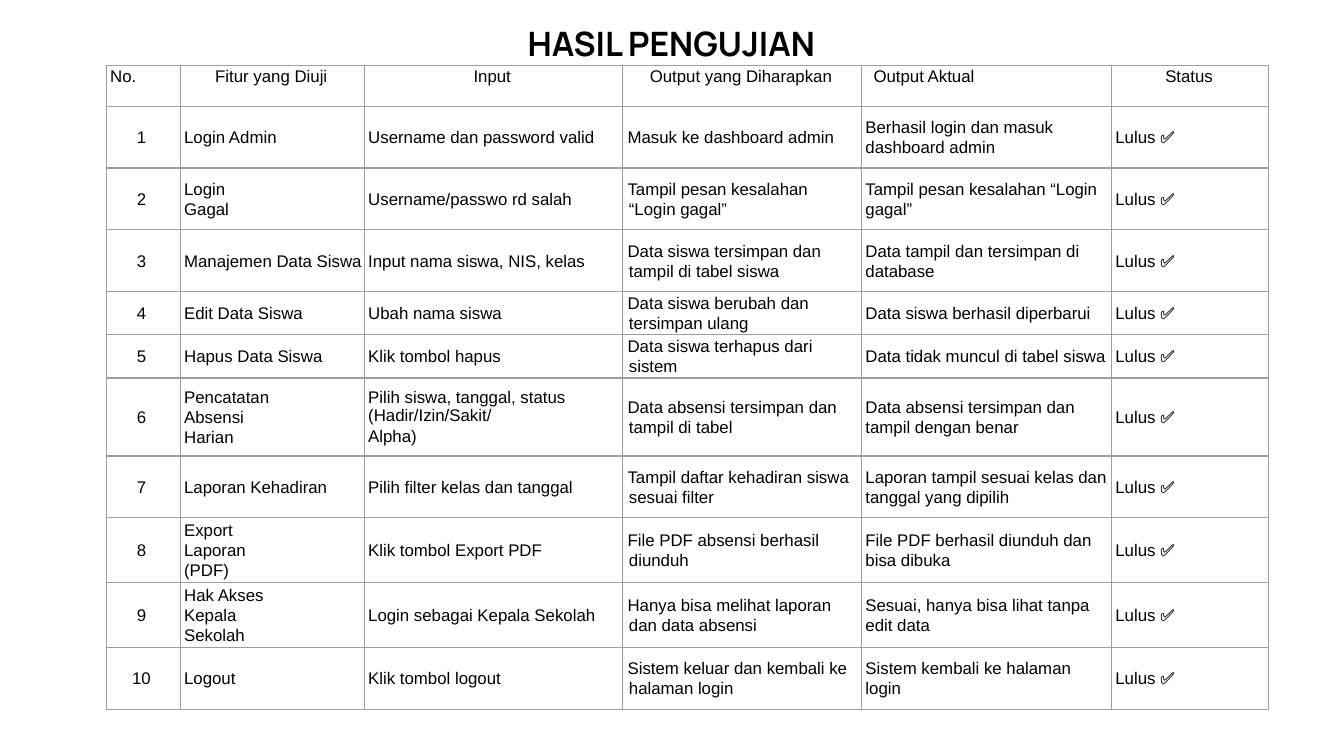
from lxml.etree import SubElement as Sub
from pptx import Presentation
from pptx.dml.color import RGBColor
from pptx.enum.text import MSO_ANCHOR as Anchor, PP_ALIGN as Align
from pptx.oxml.ns import qn
from pptx.util import Inches, Pt

GREY = "9E9E9E"
BLACK = "000000"


def style(par, name, size, bold=False):
    par.font.name = name
    par.font.size = Pt(size)
    par.font.bold = bold
    par.font.color.rgb = RGBColor.from_string(BLACK)


def border(cell):
    props = cell._tc.get_or_add_tcPr()
    for i, side in enumerate(("a:lnL", "a:lnR", "a:lnT", "a:lnB")):
        line = props.makeelement(qn(side), {"w": str(Pt(0.75))})
        fill = Sub(line, qn("a:solidFill"))
        Sub(fill, qn("a:srgbClr"), val=GREY)
        props.insert(i, line)


# A 16:9 slide
deck = Presentation()
deck.slide_width = Inches(10)
deck.slide_height = Inches(10) * 9 // 16
slide = deck.slides.add_slide(deck.slide_layouts[6])

# Title
box = slide.shapes.add_textbox(Inches(3.75), Inches(0.07), Inches(2.49), Inches(0.52))
frame = box.text_frame
frame.word_wrap = True
frame.margin_left = frame.margin_right = Inches(0.1)
frame.margin_top = frame.margin_bottom = Inches(0.1)
title = frame.paragraphs[0]
title.text = "HASIL PENGUJIAN"
title.alignment = Align.CENTER
style(title, "Manrope", 18, True)

# Test results: feature, input, expected output, actual output
head = ["No.", "Fitur yang Diuji ", "Input ", "Output yang Diharapkan ",
        "Output Aktual", "Status "]
tests = [
    ("Login Admin", "Username dan password valid", "Masuk ke dashboard admin",
     "Berhasil login dan masuk dashboard admin"),
    ("Login\nGagal", "Username/passwo rd salah",
     "Tampil pesan kesalahan “Login gagal”", "Tampil pesan kesalahan “Login gagal”"),
    ("Manajemen Data Siswa", "Input nama siswa, NIS, kelas",
     "Data siswa tersimpan dan tampil di tabel siswa",
     "Data tampil dan tersimpan di database"),
    ("Edit Data Siswa", "Ubah nama siswa", "Data siswa berubah dan tersimpan ulang",
     "Data siswa berhasil diperbarui"),
    ("Hapus Data Siswa", "Klik tombol hapus", "Data siswa terhapus dari sistem",
     "Data tidak muncul di tabel siswa"),
    ("Pencatatan\nAbsensi\nHarian",
     "Pilih siswa, tanggal, status (Hadir/Izin/Sakit/\nAlpha)",
     "Data absensi tersimpan dan tampil di tabel",
     "Data absensi tersimpan dan tampil dengan benar"),
    ("Laporan Kehadiran", "Pilih filter kelas dan tanggal",
     "Tampil daftar kehadiran siswa sesuai filter",
     "Laporan tampil sesuai kelas dan tanggal yang dipilih"),
    ("Export\nLaporan\n(PDF)", "Klik tombol Export PDF",
     "File PDF absensi berhasil diunduh", "File PDF berhasil diunduh dan bisa dibuka"),
    ("Hak Akses\nKepala\nSekolah", "Login sebagai Kepala Sekolah",
     "Hanya bisa melihat laporan dan data absensi",
     "Sesuai, hanya bisa lihat tanpa edit data"),
    ("Logout", "Klik tombol logout", "Sistem keluar dan kembali ke halaman login",
     "Sistem kembali ke halaman login"),
]
rows = [head] + [[f"{n} ", *test, "Lulus ✅"] for n, test in enumerate(tests, 1)]

# Table grid
wide = [0.55, 1.37, 1.92, 1.78, 1.86, 1.17]
high = [0.3] + [0.46] * 3 + [0.3] * 2 + [0.58] + [0.46] * 4
grid = slide.shapes.add_table(len(rows), len(wide), Inches(0.79), Inches(0.49),
                              Inches(8.66), Inches(4.81))
table = grid.table
table.first_row = table.horz_banding = False
for col, size in zip(table.columns, wide):
    col.width = Inches(size)
for row, size in zip(table.rows, high):
    row.height = Inches(size)
grid.width, grid.height = Inches(8.66), Inches(4.81)

# Cells
for r, row in enumerate(rows):
    for c, text in enumerate(row):
        cell = table.cell(r, c)
        cell.text = text
        cell.margin_left, cell.margin_right = Inches(0.03), Inches(0.02)
        cell.margin_top = cell.margin_bottom = 0
        cell.vertical_anchor = Anchor.MIDDLE if r else Anchor.TOP
        cell.fill.background()
        border(cell)
        if r:
            mid, left = c == 0, 0.02 if c == 3 else 0
        else:
            mid, left = c not in (0, 4), (0, 0.02, 0.02, 0.02, 0.07, 0.02)[c]
        for par in cell.text_frame.paragraphs:
            par.alignment = Align.CENTER if mid else Align.LEFT
            par.line_spacing = 0.99 if par.text.startswith("Pilih siswa") else 1.07
            props = par._p.get_or_add_pPr()
            props.set("marL", str(Inches(left)))
            props.set("indent", str(Inches(-0.01)))
            style(par, "Arial", 9)

deck.save("out.pptx")
